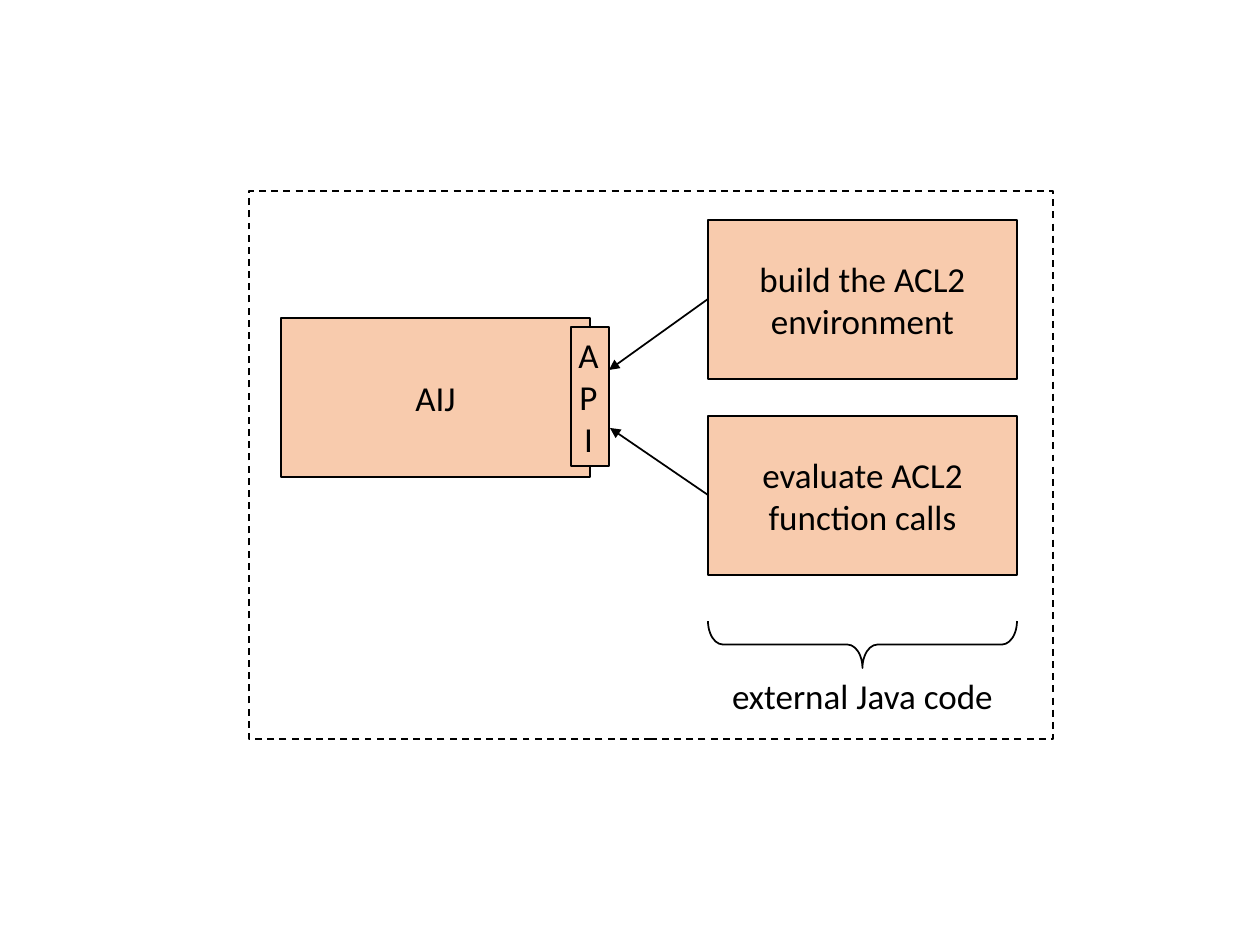
import pptx
import pptx.dml.color
import pptx.enum.dml
import pptx.enum.shapes
import pptx.enum.text
import pptx.oxml.ns
import pptx.util
from lxml import etree

BLACK = pptx.dml.color.RGBColor(0x00, 0x00, 0x00)
PEACH = pptx.dml.color.RGBColor(0xF8, 0xCB, 0xAD)
EMU_PER_PX = 914400 / 126
SHAPES = pptx.enum.shapes.MSO_SHAPE
ANCHOR = pptx.enum.text.MSO_ANCHOR


def emu(*lengths):
    return [pptx.util.Emu(round(length * EMU_PER_PX)) for length in lengths]


class Diagram:
    font_name = "Calibri"
    font_size = pptx.util.Pt(20)
    line_width = pptx.util.Pt(1)

    def __init__(self, page):
        self.page = page

    def outline(self, line):
        line.color.rgb = BLACK
        line.width = self.line_width

    def set_text(self, frame, lines, anchor):
        frame.vertical_anchor = anchor
        frame.text = "\n".join(lines)
        for para in frame.paragraphs:
            para.alignment = pptx.enum.text.PP_ALIGN.CENTER
            para.font.name = self.font_name
            para.font.size = self.font_size
            para.font.color.rgb = BLACK

    def shape(self, kind, left, top, width, height, fill=None):
        shape = self.page.shapes.add_shape(kind, *emu(left, top, width, height))
        shape.shadow.inherit = False
        if fill is None:
            shape.fill.background()
        else:
            shape.fill.solid()
            shape.fill.fore_color.rgb = fill
        self.outline(shape.line)
        return shape

    def box(self, left, top, width, height, *lines):
        box = self.shape(SHAPES.RECTANGLE, left, top, width, height, PEACH)
        if lines:
            self.set_text(box.text_frame, lines, ANCHOR.MIDDLE)

    def label(self, left, top, width, height, *lines, wrap=False):
        frame = self.page.shapes.add_textbox(*emu(left, top, width, height)).text_frame
        frame.word_wrap = wrap
        frame.margin_left = frame.margin_right = 0
        self.set_text(frame, lines, ANCHOR.TOP)

    def arrow(self, start, end):
        arrow = self.page.shapes.add_connector(
            pptx.enum.shapes.MSO_CONNECTOR.STRAIGHT, *emu(*start, *end))
        self.outline(arrow.line)
        qn = pptx.oxml.ns.qn
        properties = arrow._element.spPr
        etree.SubElement(properties.find(qn("a:ln")), qn("a:tailEnd"), type="triangle")
        etree.SubElement(properties, qn("a:effectLst"))

    def brace_below(self, left, top, width, height):
        """Draw a brace that opens upwards, filling the given area."""
        shift = (width - height) / 2
        brace = self.shape(SHAPES.LEFT_BRACE, left + shift, top - shift, height, width)
        brace.rotation = 270
        brace.adjustments[0] = 0.32

    def dashed_frame(self, left, top, width, height):
        frame = self.shape(SHAPES.RECTANGLE, left, top, width, height)
        frame.line.dash_style = pptx.enum.dml.MSO_LINE.DASH


def main():
    deck = pptx.Presentation()
    deck.slide_width, deck.slide_height = emu(1260, 945)
    diagram = Diagram(deck.slides.add_slide(deck.slide_layouts[6]))

    box_width, box_height = 309, 159
    client_left = 708
    clients = [
        (220, (609, 370), ("build the ACL2", "environment")),
        (416, (610, 428), ("evaluate ACL2", "function calls")),
    ]
    for top, target, lines in clients:
        diagram.arrow((client_left, top + box_height // 2), target)
        diagram.box(client_left, top, box_width, box_height, *lines)

    diagram.box(281, 318, box_width, box_height, "AIJ")
    diagram.box(571, 327, 38, 139)
    diagram.label(566, 327, 45, 140, *"API", wrap=True)

    diagram.label(718, 668, 289, 55, "external Java code")
    diagram.brace_below(client_left, 621, box_width, 47)
    diagram.dashed_frame(249, 191, 804, 548)

    deck.save("out.pptx")


if __name__ == "__main__":
    main()
